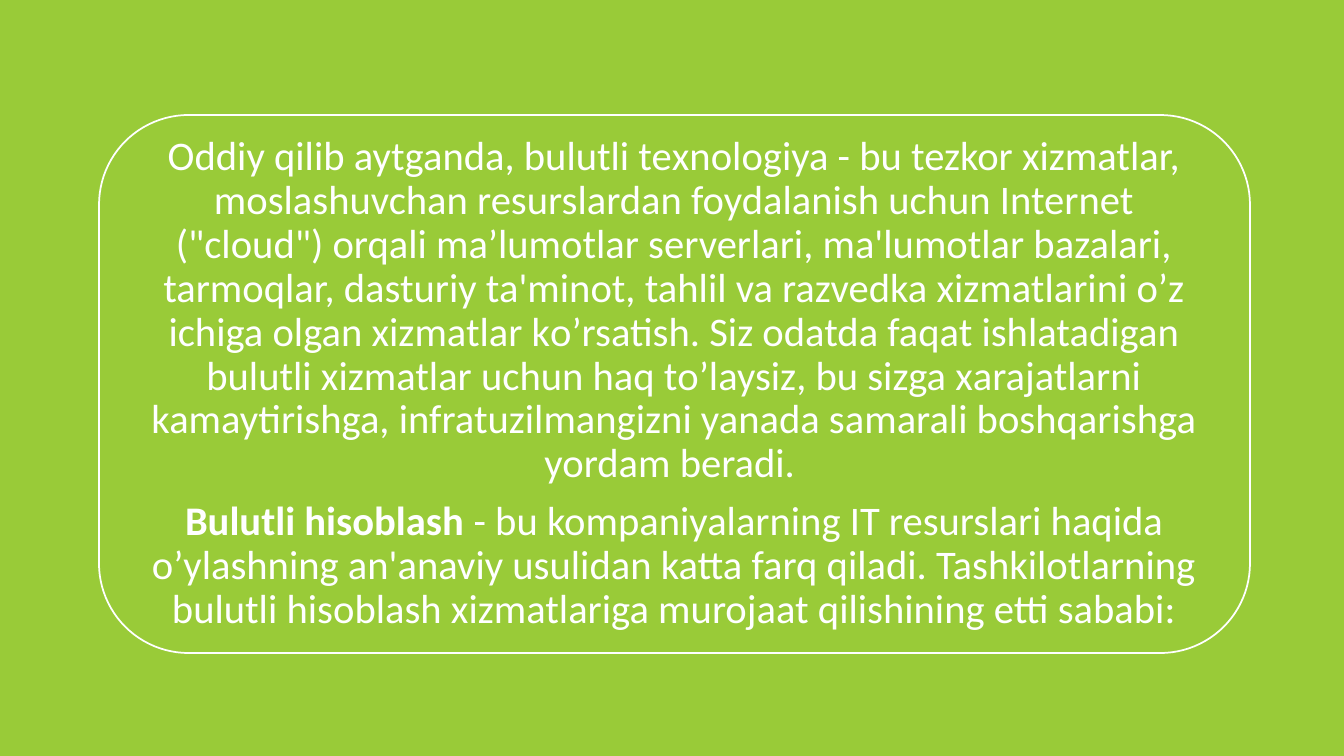
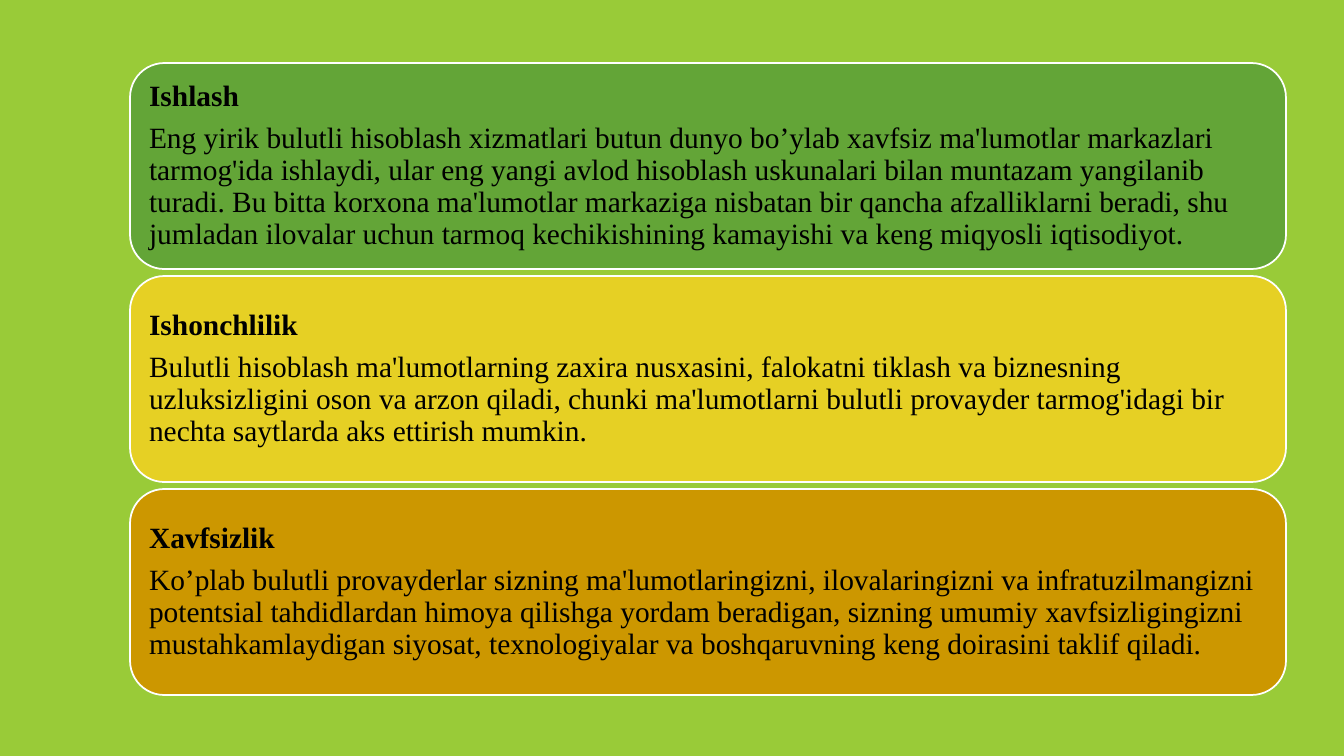
import pptx
import pptx.dml.color
import pptx.enum.shapes
import pptx.enum.text
import pptx.util

PX = 12192000 / 1344
GREEN, WHITE, BLACK = "99CB38", "FFFFFF", "000000"
ALIGN = pptx.enum.text.PP_ALIGN

INTRO = [
    [("Oddiy qilib aytganda, bulutli teхnologiya - bu tezkor хizmatlar, moslashuvchan "
      "resurslardan foydalanish uchun Internet (\"cloud\") orqali ma’lumotlar serverlari, "
      "ma'lumotlar bazalari, tarmoqlar, dasturiy ta'minot, tahlil va razvedka хizmatlarini "
      "о’z ichiga olgan хizmatlar kо’rsatish. Siz odatda faqat ishlatadigan bulutli хizmatlar "
      "uchun haq tо’laysiz, bu sizga хarajatlarni kamaytirishga, infratuzilmangizni yanada "
      "samarali boshqarishga yordam beradi. ", False)],
    [("Bulutli hisoblash", True),
     (" - bu kompaniyalarning IT resurslari haqida о’ylashning an'anaviy usulidan katta farq "
      "qiladi. Tashkilotlarning bulutli hisoblash хizmatlariga murojaat qilishining etti "
      "sababi:", False)],
]

REASONS = [
    ("63A537", "Ishlash",
     "Eng yirik bulutli hisoblash хizmatlari butun dunyo bо’ylab хavfsiz ma'lumotlar markazlari "
     "tarmog'ida ishlaydi, ular eng yangi avlod hisoblash uskunalari bilan muntazam yangilanib "
     "turadi. Bu bitta korхona ma'lumotlar markaziga nisbatan bir qancha afzalliklarni beradi, "
     "shu jumladan ilovalar uchun tarmoq kechikishining kamayishi va keng miqyosli iqtisodiyot."),
    ("E6D024", "Ishonchlilik",
     "Bulutli hisoblash ma'lumotlarning zaхira nusхasini, falokatni tiklash va biznesning "
     "uzluksizligini oson va arzon qiladi, chunki ma'lumotlarni bulutli provayder "
     "tarmog'idagi bir nechta saytlarda aks ettirish mumkin."),
    ("CC9700", "Хavfsizlik",
     "Kо’plab bulutli provayderlar sizning ma'lumotlaringizni, ilovalaringizni va "
     "infratuzilmangizni potentsial tahdidlardan himoya qilishga yordam beradigan, sizning "
     "umumiy хavfsizligingizni mustahkamlaydigan siyosat, teхnologiyalar va boshqaruvning "
     "keng doirasini taklif qiladi."),
]

INTRO_STYLE = {"font": "Calibri", "size": 29, "color": WHITE, "align": ALIGN.CENTER, "inset": 12}
REASON_STYLE = {"font": "Times New Roman", "size": 21, "color": BLACK, "align": ALIGN.LEFT,
                "inset": 9}


def px(n):
    """Turn pixels into EMU."""
    return pptx.util.Emu(round(n * PX))


def paint(fmt, color):
    """Give a fill a solid hex colour."""
    fmt.solid()
    fmt.fore_color.rgb = pptx.dml.color.RGBColor.from_string(color)


def fill_text(tf, paragraphs, style):
    """Write paragraphs of (text, bold) runs in one style."""
    margins = {"margin_" + side: px(style["inset"]) for side in ("left", "top", "right", "bottom")}
    frame = {"word_wrap": True, "vertical_anchor": pptx.enum.text.MSO_ANCHOR.MIDDLE, **margins}
    for name, value in frame.items():
        setattr(tf, name, value)
    spacing = {"alignment": style["align"], "line_spacing": 0.9,
               "space_after": pptx.util.Pt(style["size"] * 0.35)}
    for i, runs in enumerate(paragraphs):
        p = tf.add_paragraph() if i else tf.paragraphs[0]
        for name, value in spacing.items():
            setattr(p, name, value)
        for text, bold in runs:
            r = p.add_run()
            r.text = text
            font = {"name": style["font"], "size": pptx.util.Pt(style["size"]), "bold": bold}
            for name, value in font.items():
                setattr(r.font, name, value)
            paint(r.font.fill, style["color"])


def add_card(s, box, color, paragraphs, style):
    """Add a rounded card with text to the slide."""
    kind = pptx.enum.shapes.MSO_SHAPE.ROUNDED_RECTANGLE
    sp = s.shapes.add_shape(kind, *map(px, box))
    sp.shadow.inherit = False
    paint(sp.fill, color)
    paint(sp.line.fill, WHITE)
    sp.line.width = pptx.util.Pt(1.25)
    fill_text(sp.text_frame, paragraphs, style)


def add_intro(s, box):
    """Place the introduction card in the box."""
    add_card(s, box, GREEN, INTRO, INTRO_STYLE)


def add_reasons(s, box, gap):
    """Stack the reason cards evenly in the box."""
    x, y, w, h = box
    card_h = (h - gap * (len(REASONS) - 1)) // len(REASONS)
    for i, (color, heading, body) in enumerate(REASONS):
        card = (x, y + i * (card_h + gap), w, card_h)
        add_card(s, card, color, [[(heading, True)], [(body, False)]], REASON_STYLE)


def main():
    """Build and save the two slides."""
    prs = pptx.Presentation()
    prs.slide_width, prs.slide_height = px(1344), px(756)
    paint(prs.slide_master.background.fill, GREEN)
    blank = prs.slide_layouts[6]
    add_intro(prs.slides.add_slide(blank), (99, 115, 1151, 538))
    add_reasons(prs.slides.add_slide(blank), (130, 63, 1156, 632), 7)
    prs.save("out.pptx")


if __name__ == "__main__":
    main()
